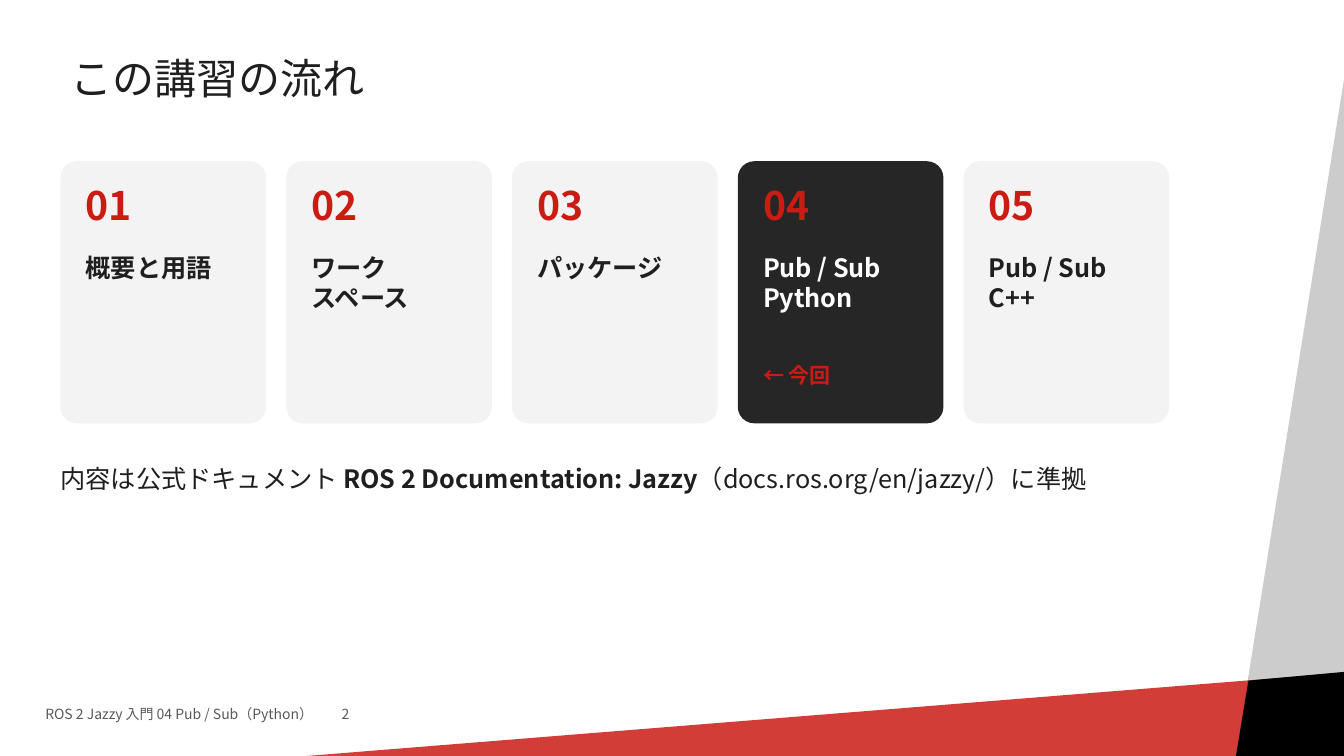
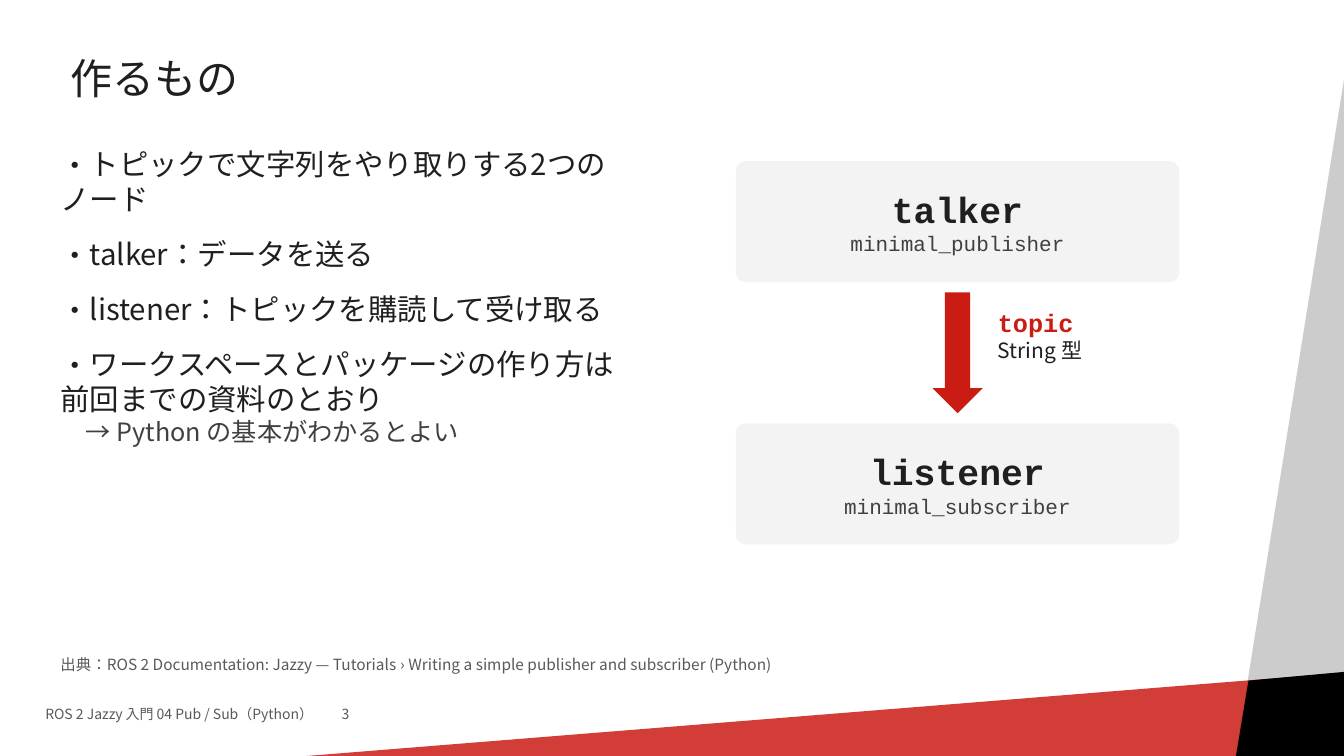
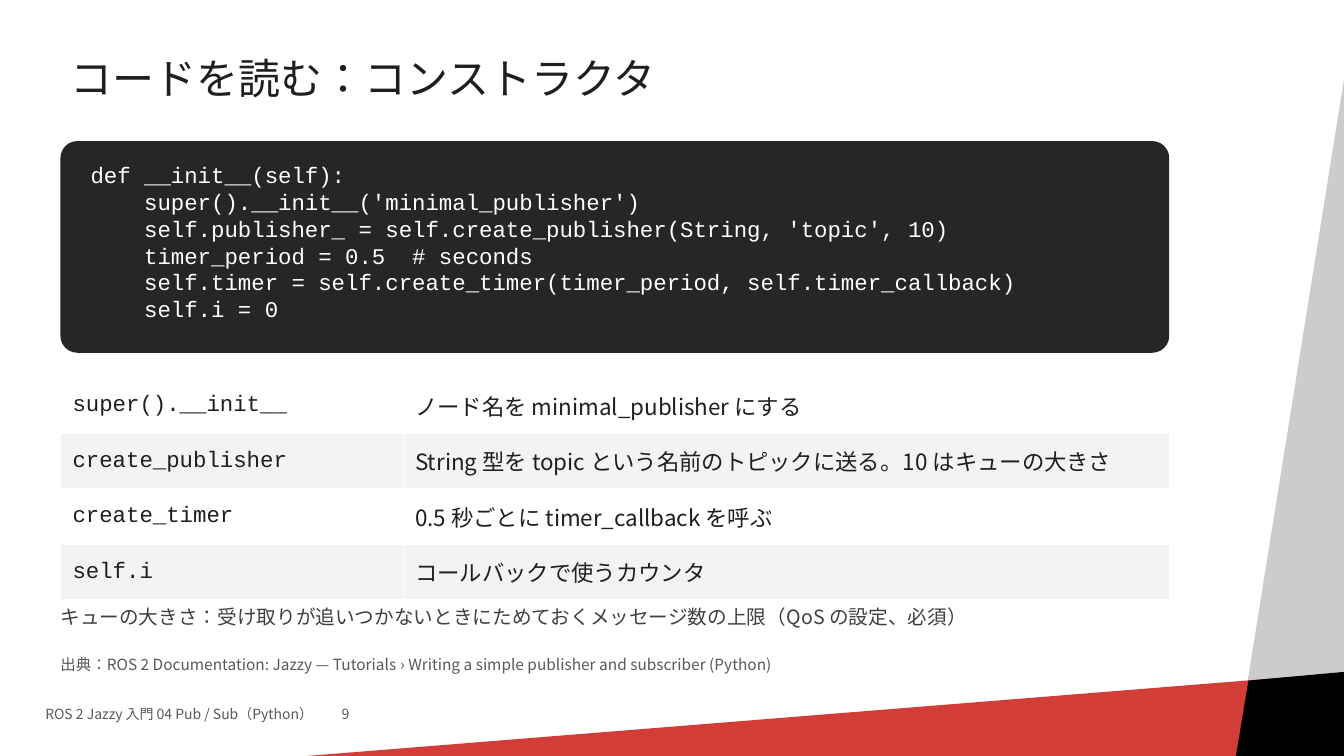
"""Build three slides of an introductory ROS 2 course."""
from lxml import etree
from pptx import Presentation
from pptx.dml.color import RGBColor
from pptx.enum.lang import MSO_LANGUAGE_ID
from pptx.enum.shapes import MSO_SHAPE
from pptx.enum.text import MSO_ANCHOR, PP_ALIGN
from pptx.oxml.ns import qn
from pptx.util import Inches, Pt

COLORS = {
    "ink": "1F1F1F", "soft": "404040", "muted": "595959", "red": "CB1C14",
    "dark": "262626", "card": "F3F3F3", "white": "FFFFFF",
    "grey": "CCCCCC", "black": "000000",
}
SANS, MONO = "Noto Sans CJK JP", "Courier New"
JAPANESE = MSO_LANGUAGE_ID.JAPANESE
RECT, SLANTED = MSO_SHAPE.RECTANGLE, MSO_SHAPE.PARALLELOGRAM
ROUND, DOWN = MSO_SHAPE.ROUNDED_RECTANGLE, MSO_SHAPE.DOWN_ARROW
TOP, MIDDLE = MSO_ANCHOR.TOP, MSO_ANCHOR.MIDDLE
LEFT, CENTER = PP_ALIGN.LEFT, PP_ALIGN.CENTER
MARGIN, CONTENT_W = 0.6, 11
COURSE = "ROS 2 Jazzy 入門 04 Pub / Sub（Python）"
SOURCE = ("出典：ROS 2 Documentation: Jazzy — Tutorials › "
          "Writing a simple publisher and subscriber (Python)")


def rgb(name):
    """Return a palette colour."""
    return RGBColor.from_string(COLORS[name])


class Deck:
    """Hold the shared style and the current slide."""

    def __init__(self):
        """Start a wide presentation."""
        self.prs = Presentation()
        self.prs.slide_width, self.prs.slide_height = Inches(40 / 3), Inches(7.5)
        self.layout = self.prs.slide_layouts[5]
        self.slide = None

    def new_slide(self, title, number, source=False):
        """Add a slide with title, footer and optional source line."""
        first = self.slide is None
        self.slide = self.prs.slides.add_slide(self.layout)
        if first:
            self.decorate_layout()
        sp = self.slide.shapes.title
        sp.left, sp.top = Inches(MARGIN), Inches(0.35)
        sp.width, sp.height = Inches(10.4), Inches(0.9)
        tf = sp.text_frame
        tf.vertical_anchor = MIDDLE
        p = tf.paragraphs[0]
        p.alignment, p.line_spacing = LEFT, 0.9
        self.run(p, title, 30)
        self.text(0.45, 7, 2.9, 0.3, [COURSE], 10, "muted")
        self.text(3.39, 7, 0.5, 0.3, [str(number)], 10, "muted")
        if source:
            self.text(MARGIN, 6.5, 9.5, 0.3, [SOURCE], 11, "muted")

    def decorate_layout(self):
        """Put the corner bands on the layout."""
        side = self.shape(RECT, 6.29, 6.27, 13.67, 1.57, "grey")
        side.rotation = 279.1
        base = self.shape(RECT, 0.59, 7.15, 13.67, 1.15, "red")
        base.rotation = 355.4
        clr = base.element.spPr.find(".//" + qn("a:srgbClr"))
        etree.SubElement(clr, qn("a:alpha")).set("val", "85000")
        corner = self.shape(SLANTED, 12.13, 6.69, 1.92, 1.18, "black")
        corner.rotation = 354.8
        corner.adjustments[0] = 0.26
        for sp in (side, base, corner):
            self.layout.shapes.element.append(sp.element)

    def paint(self, sp, color):
        """Give a shape a flat fill without outline."""
        sp.shadow.inherit = False
        sp.fill.solid()
        sp.fill.fore_color.rgb = rgb(color)
        sp.line.fill.background()

    def run(self, p, text, size, color="ink", font=SANS, bold=False):
        """Add one formatted run."""
        r = p.add_run()
        r.text = text
        r.font.size, r.font.bold, r.font.name = Pt(size), bold, font
        r.font.language_id = JAPANESE
        r.font.color.rgb = rgb(color)
        etree.SubElement(r.font._element, qn("a:ea")).set("typeface", font)

    def fill_text(self, tf, lines, size, color="ink", font=SANS, bold=False,
                  align=LEFT, anchor=TOP, inset=(0, 0)):
        """Write lines, each a string or a list of run tuples."""
        tf.word_wrap, tf.vertical_anchor = True, anchor
        tf.margin_left = tf.margin_right = Inches(inset[0])
        tf.margin_top = tf.margin_bottom = Inches(inset[1])
        for i, line in enumerate(lines):
            p = tf.add_paragraph() if i else tf.paragraphs[0]
            p.alignment = align
            runs = [(line, size, color, font, bold)] if isinstance(line, str) else line
            for args in runs:
                self.run(p, *args)

    def text(self, x, y, w, h, lines, size=18, color="ink", **style):
        """Add a text box."""
        sp = self.slide.shapes.add_textbox(Inches(x), Inches(y), Inches(w), Inches(h))
        self.fill_text(sp.text_frame, lines, size, color, **style)
        return sp.text_frame

    def shape(self, kind, x, y, w, h, color):
        """Add a flat preset shape."""
        sp = self.slide.shapes.add_shape(kind, Inches(x), Inches(y), Inches(w), Inches(h))
        self.paint(sp, color)
        return sp

    def card(self, x, y, w, h, color="card"):
        """Add a rounded panel and return its text frame."""
        sp = self.shape(ROUND, x, y, w, h, color)
        sp.adjustments[0] = 0.08
        return sp.text_frame

    def bullet(self, p):
        """Mark a paragraph with a Japanese middle dot."""
        pPr = p._p.get_or_add_pPr()
        pPr.set("marL", "0")
        pPr.set("indent", "0")
        etree.SubElement(pPr, qn("a:buFont")).set("typeface", SANS)
        etree.SubElement(pPr, qn("a:buChar")).set("char", "・")

    def table(self, x, y, widths, row_h, rows):
        """Add a striped table with code names in the first column."""
        tbl = self.slide.shapes.add_table(
            len(rows), len(widths), Inches(x), Inches(y),
            Inches(sum(widths)), Inches(row_h * len(rows))).table
        tbl.first_row = tbl.horz_banding = False
        for col, w in zip(tbl.columns, widths):
            col.width = Inches(w)
        for i, row in enumerate(rows):
            tbl.rows[i].height = Inches(row_h)
            for j, value in enumerate(row):
                cell = tbl.cell(i, j)
                cell.fill.solid()
                cell.fill.fore_color.rgb = rgb("card" if i % 2 else "white")
                cell.vertical_anchor = MIDDLE
                cell.margin_left = cell.margin_right = Inches(0.12)
                cell.margin_top = cell.margin_bottom = Inches(0.05)
                self.run(cell.text_frame.paragraphs[0], value, 16,
                         font=SANS if j else MONO)


def course_flow(deck):
    """Show the five parts of the course."""
    deck.new_slide("この講習の流れ", 2)
    parts = [["概要と用語"], ["ワーク", "スペース"], ["パッケージ"],
             ["Pub / Sub", "Python"], ["Pub / Sub", "C++"]]
    current, w, gap = 4, 2.04, 0.2
    for n, lines in enumerate(parts, 1):
        x = MARGIN + (n - 1) * (w + gap)
        active = n == current
        deck.card(x, 1.6, w, 2.6, "dark" if active else "card")
        x += 0.25
        deck.text(x, 1.8, 1.6, 0.6, [f"{n:02}"], 28, "red", bold=True)
        deck.text(x, 2.5, 1.7, 1, lines, 18, "white" if active else "ink", bold=True)
        if active:
            deck.text(x, 3.6, 1.7, 0.4, ["← 今回"], 15, "red", bold=True)
    deck.text(MARGIN, 4.6, CONTENT_W, 0.5, [[
        ("内容は公式ドキュメント ", 18),
        ("ROS 2 Documentation: Jazzy", 18, "ink", SANS, True),
        ("（docs.ros.org/en/jazzy/）に準拠", 18)]])


def nodes(deck):
    """Show the two nodes and their topic."""
    deck.new_slide("作るもの", 3, source=True)
    tf = deck.text(MARGIN, 1.45, 5.6, 4.9, [
        "トピックで文字列をやり取りする2つのノード",
        "talker：データを送る",
        "listener：トピックを購読して受け取る",
        "ワークスペースとパッケージの作り方は前回までの資料のとおり",
        [("→ Python の基本がわかるとよい", 18, "soft")]], 21)
    *points, hint = tf.paragraphs
    for i, p in enumerate(points):
        deck.bullet(p)
        if i:
            p.space_before = Pt(14)
    hint._p.get_or_add_pPr().set("marL", str(Inches(0.25)))

    x, w, h = 7.3, 4.4, 1.2
    for y, name, node in [(1.6, "talker", "minimal_publisher"),
                          (4.2, "listener", "minimal_subscriber")]:
        deck.fill_text(deck.card(x, y, w, h), [
            [(name, 26, "ink", MONO, True)],
            [(node, 15, "soft", MONO)]], 15, align=CENTER, anchor=MIDDLE)
    deck.shape(DOWN, x + (w - 0.5) / 2, 2.9, 0.5, h, "red")
    deck.text(9.9, 3.05, 2, 0.9, [
        [("topic", 18, "red", MONO, True)], [("String 型", 15)]])


def constructor(deck):
    """Explain the constructor code."""
    deck.new_slide("コードを読む：コンストラクタ", 9, source=True)
    deck.fill_text(deck.card(MARGIN, 1.4, CONTENT_W, 2.1, "dark"), [
        "def __init__(self):",
        "    super().__init__('minimal_publisher')",
        "    self.publisher_ = self.create_publisher(String, 'topic', 10)",
        "    timer_period = 0.5  # seconds",
        "    self.timer = self.create_timer(timer_period, self.timer_callback)",
        "    self.i = 0"], 16, "white", font=MONO, inset=(0.25, 0.15))
    deck.table(MARGIN, 3.75, [3.4, 7.6], 0.55, [
        ("super().__init__", "ノード名を minimal_publisher にする"),
        ("create_publisher",
         "String 型を topic という名前のトピックに送る。10 はキューの大きさ"),
        ("create_timer", "0.5 秒ごとに timer_callback を呼ぶ"),
        ("self.i", "コールバックで使うカウンタ")])
    deck.text(MARGIN, 6, CONTENT_W, 0.4, [
        "キューの大きさ：受け取りが追いつかないときにためておく"
        "メッセージ数の上限（QoS の設定、必須）"], 14, "soft")


def main():
    """Build and save the deck."""
    deck = Deck()
    course_flow(deck)
    nodes(deck)
    constructor(deck)
    deck.prs.save("out.pptx")


if __name__ == "__main__":
    main()
